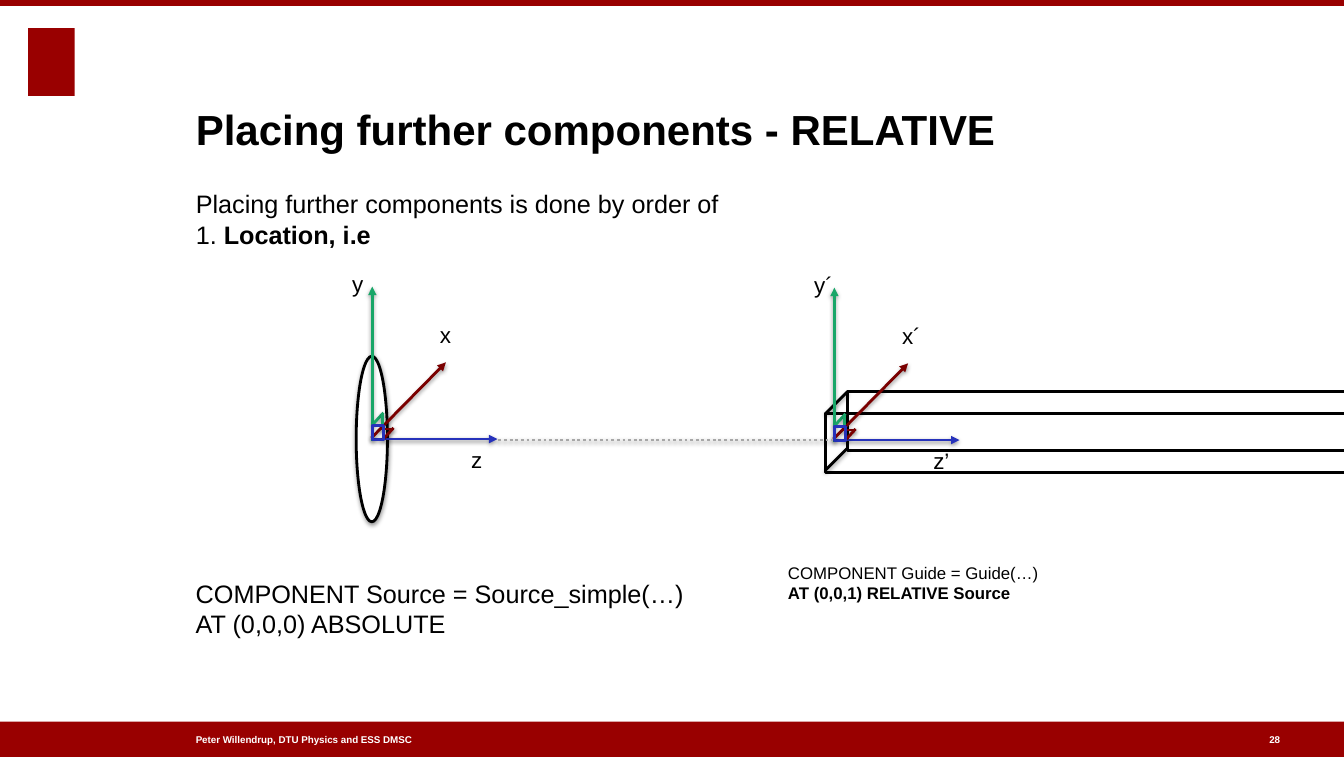
"""Build the slide on placing components relative to one another."""
import lxml.etree
import pptx
import pptx.dml.color
import pptx.enum.dml
import pptx.enum.shapes
import pptx.enum.text
import pptx.oxml.ns
import pptx.util

SLIDE_WIDTH, SLIDE_HEIGHT = 1332, 750
PX = 9144
FONT = "Arial"
RED, WHITE, BLACK, GREY = "990000", "FFFFFF", "000000", "A7A7A7"
X_COLOR, Y_COLOR, Z_COLOR = "7A0000", "19A668", "2632BB"

TITLE = [[("Placing further components - RELATIVE", True)]]
INTRO = [
    [("Placing further components is done by order of ", False)],
    [("1. ", False), ("Location, i.e", True)],
]
SOURCE_CODE = [
    [("COMPONENT Source = Source_simple(…)", False)],
    [("AT (0,0,0) ABSOLUTE", False)],
]
GUIDE_CODE = [
    [("COMPONENT Guide = Guide(…)", False)],
    [("AT (0,0,1) RELATIVE Source", True)],
]
AUTHOR = [[("Peter Willendrup, DTU Physics and ESS DMSC", True)]]
PAGE = [[("28", True)]]

FRAMES = [((369, 435), ("x", "y", "z")), ((827, 436), ("x´", "y´", "z’"))]
AXIS_LINES = [
    ((0, 2), (0, -151), Y_COLOR, True),
    ((0, 0), (124, 0), Z_COLOR, True),
    ((-1, -1), (73, -76), X_COLOR, True),
    ((7, -10), (21, -10), X_COLOR, False),
    ((10, 1), (21, -11), X_COLOR, False),
    ((0, -14), (11, -26), Y_COLOR, False),
    ((10, -15), (10, -26), Y_COLOR, False),
]
Z_MARK = (0, -13, 11, 14)
LABEL_OFFSETS = [(67, -117), (-20, -167), (98, 7)]

GUIDE_SIZE = (622, 58)
GUIDE_BACK, GUIDE_FRONT = (840, 388), (818, 410)
GUIDE_EDGE = 56

SHAPES = pptx.enum.shapes.MSO_SHAPE
ANCHOR = pptx.enum.text.MSO_ANCHOR

deck = pptx.Presentation()
deck.slide_width, deck.slide_height = SLIDE_WIDTH * PX, SLIDE_HEIGHT * PX
slide = deck.slides.add_slide(deck.slide_layouts[6])


def rgb(color):
    return pptx.dml.color.RGBColor.from_string(color)


def add_shadow(effects):
    tag = pptx.oxml.ns.qn
    shadow = lxml.etree.SubElement(
        effects, tag("a:outerShdw"), blurRad="38100", dist="20320", dir="5400000", rotWithShape="0"
    )
    tint = lxml.etree.SubElement(shadow, tag("a:srgbClr"), val=BLACK)
    lxml.etree.SubElement(tint, tag("a:alpha"), val="38000")


def add_figure(box, fill=None, line=None, preset=SHAPES.RECTANGLE, shadow=False):
    figure = slide.shapes.add_shape(preset, *(side * PX for side in box))
    figure.shadow.inherit = False
    if fill:
        figure.fill.solid()
        figure.fill.fore_color.rgb = rgb(fill)
    else:
        figure.fill.background()
    if line:
        figure.line.color.rgb = rgb(line)
        figure.line.width = pptx.util.Pt(2)
    else:
        figure.line.fill.background()
    if shadow:
        add_shadow(figure._element.spPr.find(pptx.oxml.ns.qn("a:effectLst")))


def add_line(start, end, color, arrow=False, dotted=False):
    connector = slide.shapes.add_connector(
        pptx.enum.shapes.MSO_CONNECTOR.STRAIGHT, *(place * PX for place in start + end)
    )
    connector.line.color.rgb = rgb(color)
    connector.line.width = pptx.util.Pt(2)
    if dotted:
        connector.line.dash_style = pptx.enum.dml.MSO_LINE.ROUND_DOT
    tag = pptx.oxml.ns.qn
    properties = connector._element.spPr
    if arrow:
        lxml.etree.SubElement(properties.find(tag("a:ln")), tag("a:tailEnd"), type="triangle")
    add_shadow(lxml.etree.SubElement(properties, tag("a:effectLst")))


def add_text(lines, box, size=18, color=BLACK, anchor=ANCHOR.TOP, wrap=True):
    frame = slide.shapes.add_textbox(*(side * PX for side in box)).text_frame
    frame.margin_left = frame.margin_top = frame.margin_right = frame.margin_bottom = 0
    frame.word_wrap = wrap
    frame.vertical_anchor = anchor
    paragraph = frame.paragraphs[0]
    for number, line in enumerate(lines):
        if number:
            paragraph.add_line_break()
        for words, bold in line:
            run = paragraph.add_run()
            run.text = words
            run.font.name = FONT
            run.font.size = pptx.util.Pt(size)
            run.font.bold = bold
            run.font.color.rgb = rgb(color)


def add_axes(origin, names):
    left, top = origin
    for (x1, y1), (x2, y2), color, arrow in AXIS_LINES:
        add_line((left + x1, top + y1), (left + x2, top + y2), color, arrow)
    dx, dy, width, height = Z_MARK
    add_figure((left + dx, top + dy, width, height), line=Z_COLOR)
    for name, (dx, dy) in zip(names, LABEL_OFFSETS):
        add_text([[(name, False)]], (left + dx, top + dy, 20, 24), size=16, wrap=False)


def main():
    add_figure((28, 28, 46, 67), fill=RED)
    add_figure((0, 715, SLIDE_WIDTH, 35), fill=RED)
    add_figure((0, 0, SLIDE_WIDTH, 6), fill=RED)
    add_text(AUTHOR, (194, 726, 372, 14), size=7, color=WHITE, anchor=ANCHOR.MIDDLE)
    add_text(PAGE, (1258, 726, 14, 14), size=7, color=WHITE, anchor=ANCHOR.MIDDLE, wrap=False)

    add_text(TITLE, (194, 47, 1018, 106), size=30, anchor=ANCHOR.BOTTOM)
    add_text(INTRO, (194, 187, 1018, 60))
    add_text(SOURCE_CODE, (194, 573, 580, 60))

    add_figure(GUIDE_BACK + GUIDE_SIZE, fill=WHITE, line=BLACK)
    add_figure((353, 353, 31, 164), WHITE, BLACK, SHAPES.OVAL, shadow=True)
    add_axes(*FRAMES[0])

    add_figure(GUIDE_FRONT + GUIDE_SIZE, line=BLACK)
    for drop in (0, GUIDE_EDGE):
        start, end = ((x, y + drop) for x, y in (GUIDE_FRONT, GUIDE_BACK))
        add_line(start, end, BLACK)
    add_axes(*FRAMES[1])

    add_line((494, 436), (825, 436), GREY, dotted=True)
    add_text(GUIDE_CODE, (781, 557, 250, 38), size=12, wrap=False)
    deck.save("out.pptx")


if __name__ == "__main__":
    main()
